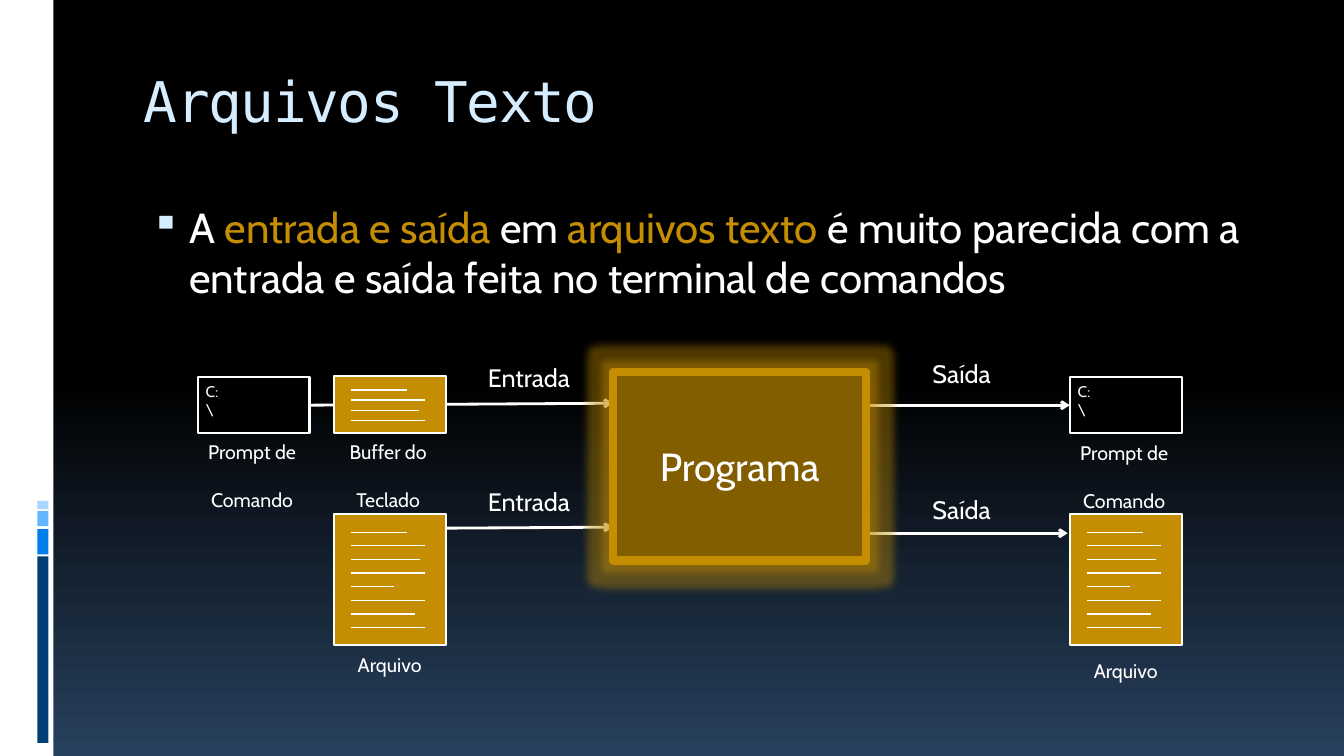
import dataclasses
import typing

import lxml.etree
import pptx
import pptx.dml.color
import pptx.enum.shapes
import pptx.enum.text
import pptx.oxml.ns
import pptx.util

RGB = pptx.dml.color.RGBColor
WHITE = RGB(0xFF, 0xFF, 0xFF)
BLACK = RGB(0, 0, 0)
NAVY = RGB(0x28, 0x41, 0x5E)
GOLD = RGB(0xC5, 0x8D, 0x01)
BROWN = RGB(0x83, 0x5E, 0x01)
PALE = RGB(0xD6, 0xEC, 0xFF)
SCALE = 9144
SANS = "Cabin"
MONO = "DejaVu Sans Mono"
ALIGN = pptx.enum.text.PP_ALIGN


@dataclasses.dataclass(frozen=True)
class Box:
    left: int
    top: int
    width: int
    height: int


@dataclasses.dataclass(frozen=True)
class Bar:
    box: Box
    color: RGB


@dataclasses.dataclass(frozen=True)
class Label:
    box: Box
    lines: tuple[str, ...]
    size: int
    align: ALIGN = ALIGN.LEFT
    wrap: bool = False
    gap: int = 0
    color: RGB = WHITE
    face: str = SANS


@dataclasses.dataclass(frozen=True)
class Page:
    box: Box
    first: int
    step: float
    widths: tuple[int, ...]


@dataclasses.dataclass(frozen=True)
class Arrow:
    start: tuple[int, int]
    end: tuple[int, int]


BARS = (
    Bar(Box(0, 0, 53, 750), WHITE),
    Bar(Box(37, 552, 11, 185), RGB(0x00, 0x3F, 0x75)),
    Bar(Box(37, 525, 11, 25), RGB(0x00, 0x7E, 0xEB)),
    Bar(Box(37, 507, 11, 15), RGB(0x61, 0xB6, 0xFF)),
    Bar(Box(37, 497, 11, 8), RGB(0xA7, 0xD6, 0xFF)),
)
ARROWS = (
    Arrow((307, 402), (608, 400)),
    Arrow((862, 402), (1061, 402)),
    Arrow((859, 529), (1059, 529)),
    Arrow((441, 524), (608, 523)),
)
FILE = (56, 74, 69, 74, 43, 74, 64, 74)
PAGES = (
    Page(Box(331, 510, 111, 130), 18, 13.5, FILE),
    Page(Box(1061, 510, 111, 130), 18, 13.5, FILE),
    Page(Box(331, 373, 111, 57), 14, 10, (56, 74, 68, 74)),
)
PROMPTS = (Box(196, 374, 111, 56), Box(1061, 374, 111, 56))
PROMPT = ("Prompt de", "Comando")
LABELS = (
    Label(Box(195, 432, 110, 80), PROMPT, 14, ALIGN.CENTER, gap=17),
    Label(Box(1060, 433, 110, 80), PROMPT, 14, ALIGN.CENTER, gap=17),
    Label(Box(335, 432, 100, 80), ("Buffer do", "Teclado"), 14, ALIGN.CENTER, gap=17),
    Label(Box(345, 643, 84, 34), ("Arquivo",), 14),
    Label(Box(1075, 649, 84, 34), ("Arquivo",), 14),
    Label(Box(474, 355, 103, 40), ("Entrada",), 18),
    Label(Box(474, 478, 103, 40), ("Entrada",), 18),
    Label(Box(915, 351, 78, 40), ("Saída",), 18),
    Label(Box(915, 485, 78, 40), ("Saída",), 18),
)
BODY = (
    ("A ", WHITE),
    ("entrada e saída ", GOLD),
    ("em ", WHITE),
    ("arquivos texto ", GOLD),
    ("é muito parecida com a entrada e saída feita no terminal de comandos", WHITE),
)


def px(count: float) -> pptx.util.Emu:
    return pptx.util.Emu(round(count * SCALE))


def place(box: Box) -> tuple[pptx.util.Emu, ...]:
    return px(box.left), px(box.top), px(box.width), px(box.height)


def add(root: typing.Any, tag: str, **attrs: str) -> typing.Any:
    return lxml.etree.SubElement(root, pptx.oxml.ns.qn(tag), attrs)


def style(para: typing.Any, size: int, face: str, color: RGB | None = WHITE) -> None:
    para.font.size = pptx.util.Pt(size)
    para.font.name = face
    if color is not None:
        para.font.color.rgb = color


def draw_rect(slide: typing.Any, box: Box, fill: RGB,
              edge: RGB | None = None, weight: float = 1.5) -> typing.Any:
    shape = slide.shapes.add_shape(pptx.enum.shapes.MSO_SHAPE.RECTANGLE, *place(box))
    shape.shadow.inherit = False
    shape.fill.solid()
    shape.fill.fore_color.rgb = fill
    if edge is None:
        shape.line.fill.background()
    else:
        shape.line.color.rgb = edge
        shape.line.width = pptx.util.Pt(weight)
    return shape


def draw_line(slide: typing.Any, start: tuple[float, float], end: tuple[float, float],
              weight: float, head: bool = False) -> None:
    line = slide.shapes.add_connector(
        pptx.enum.shapes.MSO_CONNECTOR.STRAIGHT, *map(px, start + end))
    line.line.color.rgb = WHITE
    line.line.width = pptx.util.Pt(weight)
    if head:
        add(line.line._get_or_add_ln(), "a:tailEnd", type="arrow")
    add(line.element.spPr, "a:effectLst")


def draw_label(slide: typing.Any, label: Label) -> typing.Any:
    frame = slide.shapes.add_textbox(*place(label.box)).text_frame
    frame.word_wrap = label.wrap
    frame.text = "\n".join(label.lines)
    for rank, para in enumerate(frame.paragraphs):
        para.alignment = label.align
        if rank and label.gap:
            para.space_before = pptx.util.Pt(label.gap)
        style(para, label.size, label.face, label.color)
    return frame


def draw_page(slide: typing.Any, page: Page) -> None:
    draw_rect(slide, page.box, GOLD, WHITE)
    left = page.box.left + 17
    for rank, width in enumerate(page.widths):
        level = page.box.top + page.first + rank * page.step
        draw_line(slide, (left, level), (left + width, level), 0.94)


def draw_prompt(slide: typing.Any, box: Box) -> None:
    draw_rect(slide, box, BLACK, WHITE)
    draw_label(slide, Label(Box(box.left - 2, box.top, 38, 29), ("C:\\",), 11, wrap=True))


def draw_title(slide: typing.Any) -> None:
    frame = draw_label(slide, Label(Box(133, 56, 1133, 100), ("Arquivos Texto",), 40,
                                    wrap=True, color=PALE, face=MONO))
    frame.margin_top = px(10)
    frame.paragraphs[0].runs[0]._r.get_or_add_rPr().set("spc", "-100")


def draw_body(slide: typing.Any) -> None:
    frame = slide.shapes.add_textbox(*place(Box(133, 195, 1133, 500))).text_frame
    frame.word_wrap = True
    para = frame.paragraphs[0]
    props = para._p.get_or_add_pPr()
    props.set("marL", str(px(45)))
    props.set("indent", str(px(-38)))
    add(add(props, "a:buClr"), "a:srgbClr", val=str(PALE))
    add(props, "a:buSzPct", val="95000")
    add(props, "a:buChar", char="▪")
    style(para, 30, SANS, None)
    for text, color in BODY:
        run = para.add_run()
        run.text = text
        run.font.color.rgb = color


def draw_core(slide: typing.Any) -> None:
    core = draw_rect(slide, Box(608, 369, 251, 187), BROWN, GOLD, 6)
    glow = add(core.element.spPr.find(pptx.oxml.ns.qn("a:effectLst")),
               "a:glow", rad="139700")
    add(add(glow, "a:srgbClr", val=str(GOLD)), "a:alpha", val="40000")
    frame = core.text_frame
    frame.vertical_anchor = pptx.enum.text.MSO_ANCHOR.MIDDLE
    frame.text = "Programa"
    frame.paragraphs[0].alignment = ALIGN.CENTER
    style(frame.paragraphs[0], 28, SANS)


def paint(slide: typing.Any) -> None:
    fill = slide.background.fill
    fill.gradient()
    fill.gradient_angle = 270
    for stop, spot, color in zip(fill.gradient_stops, (0.5, 1), (BLACK, NAVY)):
        stop.position = spot
        stop.color.rgb = color


def main() -> None:
    deck = pptx.Presentation()
    deck.slide_width, deck.slide_height = px(1333), px(750)
    slide = deck.slides.add_slide(deck.slide_layouts[6])
    paint(slide)
    for bar in BARS:
        draw_rect(slide, bar.box, bar.color)
    draw_title(slide)
    draw_body(slide)
    for arrow in ARROWS:
        draw_line(slide, arrow.start, arrow.end, 2, True)
    for page in PAGES:
        draw_page(slide, page)
    for box in PROMPTS:
        draw_prompt(slide, box)
    for label in LABELS:
        draw_label(slide, label)
    draw_core(slide)
    deck.save("out.pptx")


if __name__ == "__main__":
    main()
